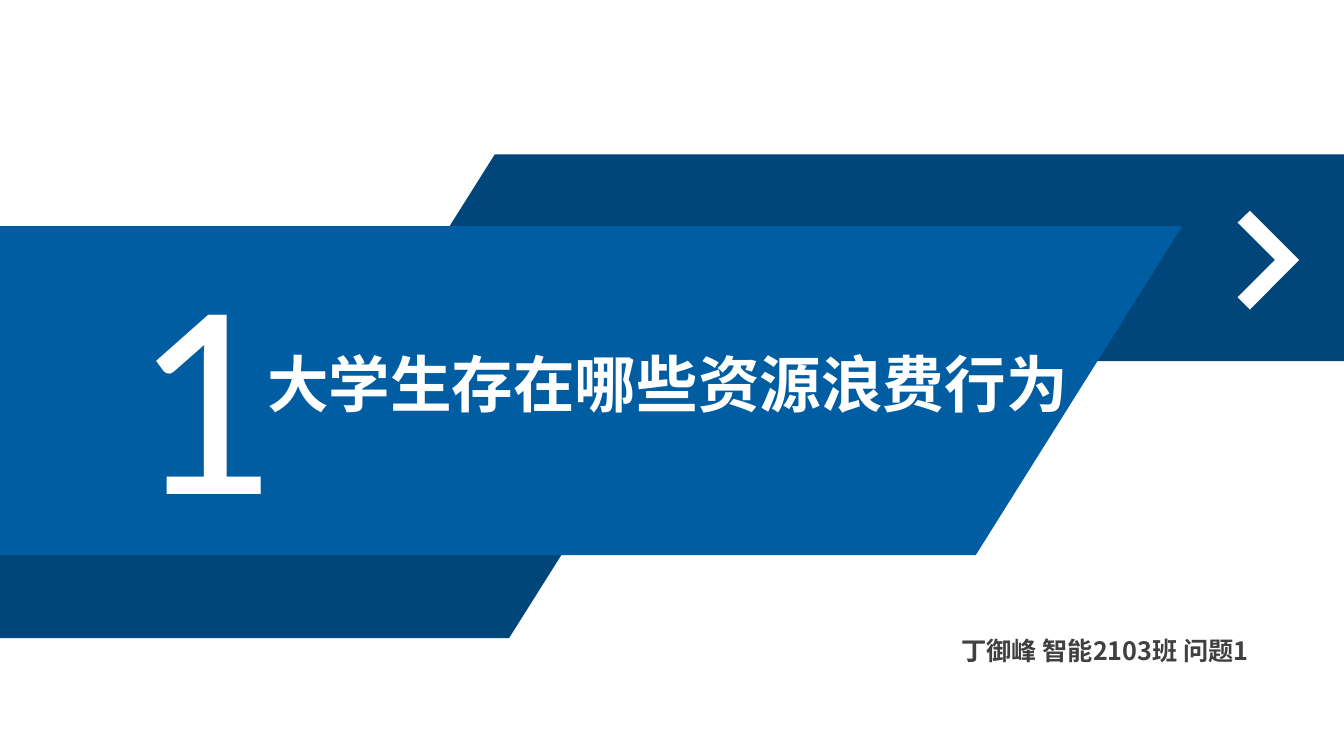
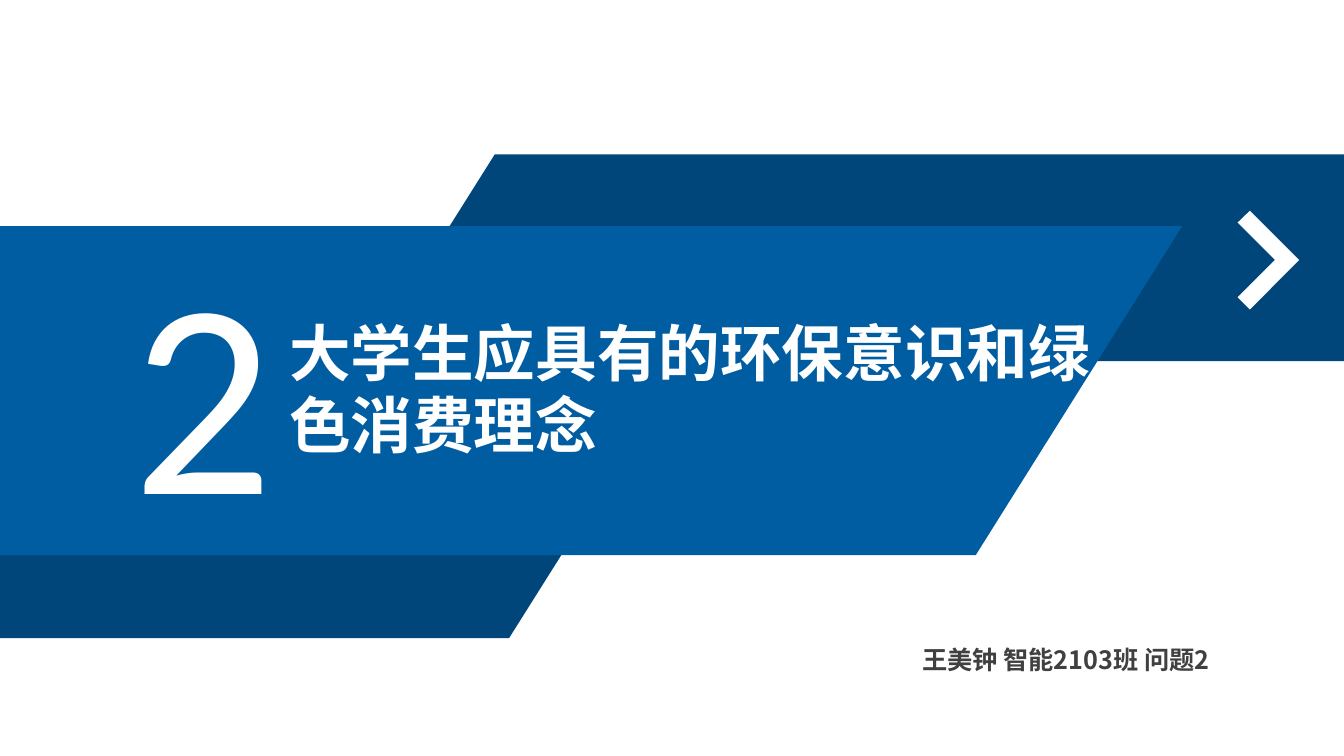
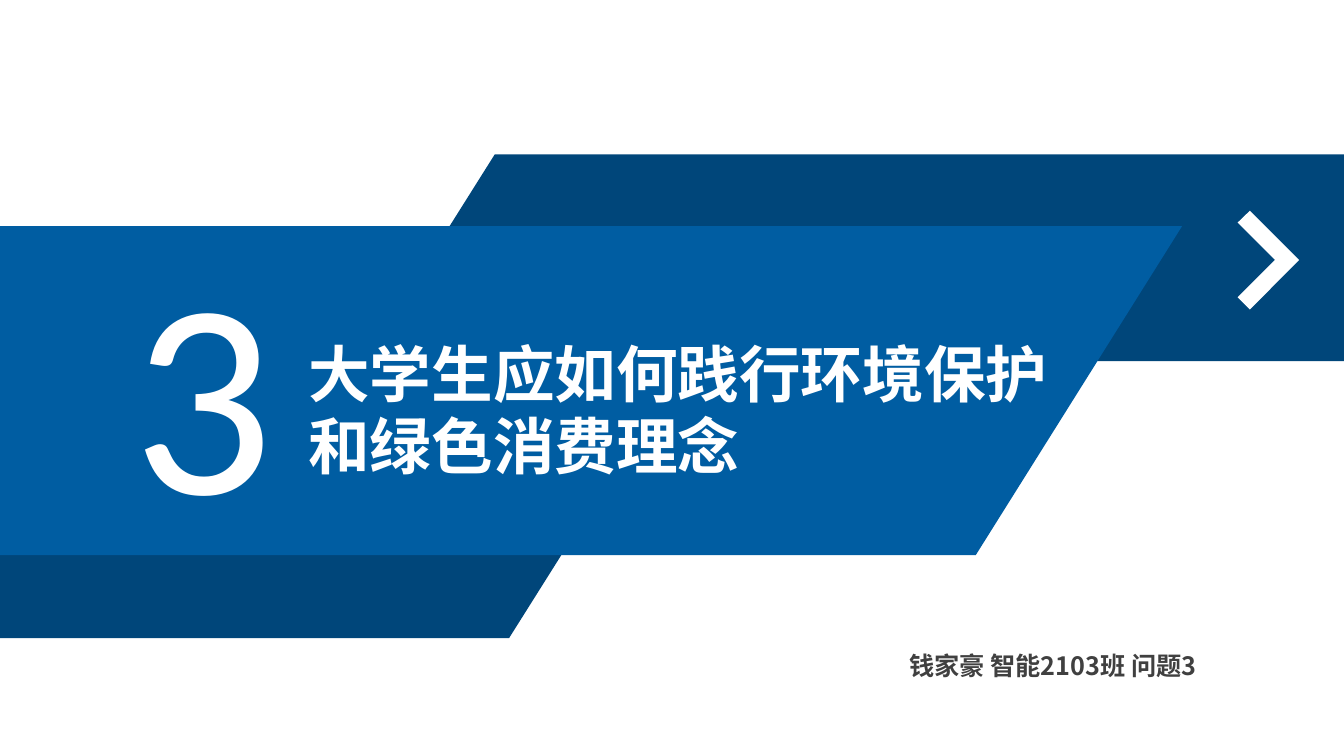
import pptx
import pptx.dml.color
import pptx.enum.text
import pptx.util
from lxml import etree

Cm = pptx.util.Cm
Pt = pptx.util.Pt
RGB = pptx.dml.color.RGBColor
ALIGN = pptx.enum.text.PP_ALIGN

NAVY = RGB(0x00, 0x46, 0x7A)
BLUE = RGB(0x00, 0x5D, 0xA2)
WHITE = RGB(0xFF, 0xFF, 0xFF)
GREY = RGB(0x40, 0x40, 0x40)
LATIN = "Calibri"
HAN = "Noto Sans CJK SC"
DRAW = "{http://schemas.openxmlformats.org/drawingml/2006/main}"

WIDE, HIGH = 33.87, 19.05

# Outlines shared by all slides, in centimetres, from back to front
BANDS = [
    (NAVY, [(WIDE, 9.1), (9.19, 9.1), (12.47, 3.89), (WIDE, 3.89)]),
    (NAVY, [(0, 11.33), (15.82, 11.33), (12.83, 16.08), (0, 16.08)]),
    (BLUE, [(0, 5.7), (29.79, 5.7), (24.59, 13.99), (0, 13.99)]),
]
ARROW = [(32.74, 6.55), (31.5, 7.8), (31.19, 7.49),
         (32.13, 6.55), (31.19, 5.61), (31.5, 5.31)]

# Title, its left, top and width; byline, its left and top
PARTS = [
    ("大学生存在哪些资源浪费行为", 6.48, 8.62, 21.26,
     "丁御峰 智能2103班 问题1", 24.23, 16),
    ("大学生应具有的环保意识和绿色消费理念", 7.04, 7.83, 22.15,
     "王美钟 智能2103班 问题2", 23.24, 16.23),
    ("大学生应如何践行环境保护和绿色消费理念", 7.52, 8.36, 19.99,
     "钱家豪 智能2103班 问题3", 22.91, 16.38),
]


def add_form(slide, color, points):
    """Draw a closed, filled outline."""
    spots = [(Cm(x), Cm(y)) for x, y in points]
    pen = slide.shapes.build_freeform(*spots[0])
    pen.add_line_segments(spots[1:], close=True)
    form = pen.convert_to_shape()
    form.shadow.inherit = False
    form.fill.solid()
    form.fill.fore_color.rgb = color
    form.line.fill.background()


def add_text(slide, text, place, size, color, face=HAN, bold=True):
    """Add a one-paragraph text box and return it."""
    box = slide.shapes.add_textbox(*map(Cm, place))
    frame = box.text_frame
    frame.word_wrap = True
    frame.text = text
    run = frame.paragraphs[0].runs[0]
    run.font.size = Pt(size)
    run.font.bold = bold
    run.font.color.rgb = color
    run.font.name = face
    # East Asian glyphs take their own typeface entry
    etree.SubElement(run.font._element, DRAW + "ea", typeface=face)
    return box


def add_digit(slide, digit):
    box = add_text(slide, digit, (3.07, 5.31, 4.11, 8.76), 199,
                   WHITE, LATIN, False)
    box.text_frame.word_wrap = False
    box.text_frame.paragraphs[0].alignment = ALIGN.CENTER


def add_title(slide, text, left, top, width):
    box = add_text(slide, text, (left, top, width, 4), 44, WHITE)
    box.text_frame.paragraphs[0].line_spacing = Pt(52)


def add_byline(slide, text, left, top):
    frame = add_text(slide, text, (left, top, 9, 0.9), 18, GREY).text_frame
    frame.margin_left = frame.margin_right = 0
    frame.margin_top = frame.margin_bottom = 0


def main():
    deck = pptx.Presentation()
    deck.slide_width, deck.slide_height = Cm(WIDE), Cm(HIGH)
    for count, part in enumerate(PARTS, 1):
        title, left, top, width, byline, by_left, by_top = part
        slide = deck.slides.add_slide(deck.slide_layouts[6])
        for color, points in BANDS:
            add_form(slide, color, points)
        add_digit(slide, str(count))
        add_title(slide, title, left, top, width)
        add_form(slide, WHITE, ARROW)
        add_byline(slide, byline, by_left, by_top)
    deck.save("out.pptx")


if __name__ == "__main__":
    main()
